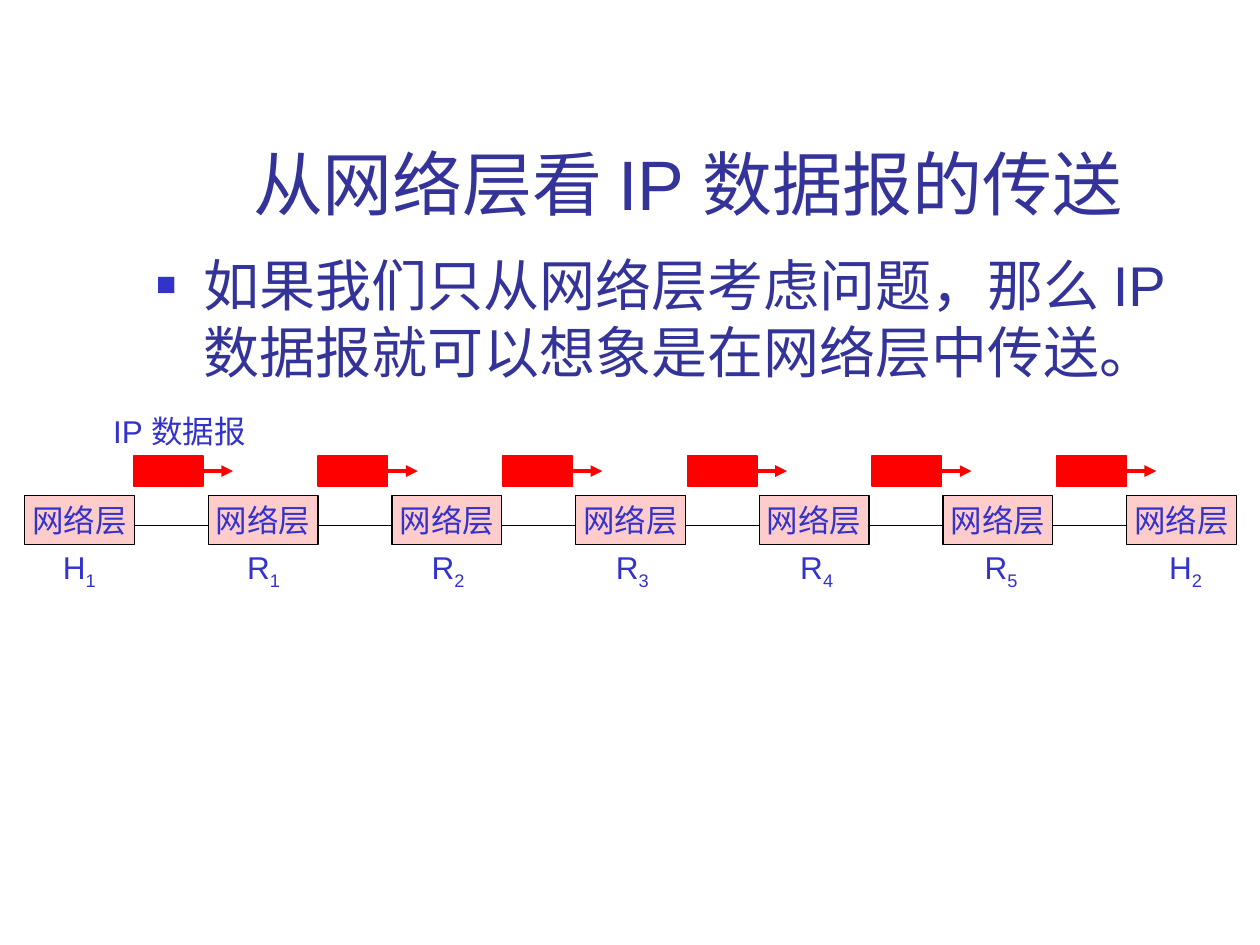
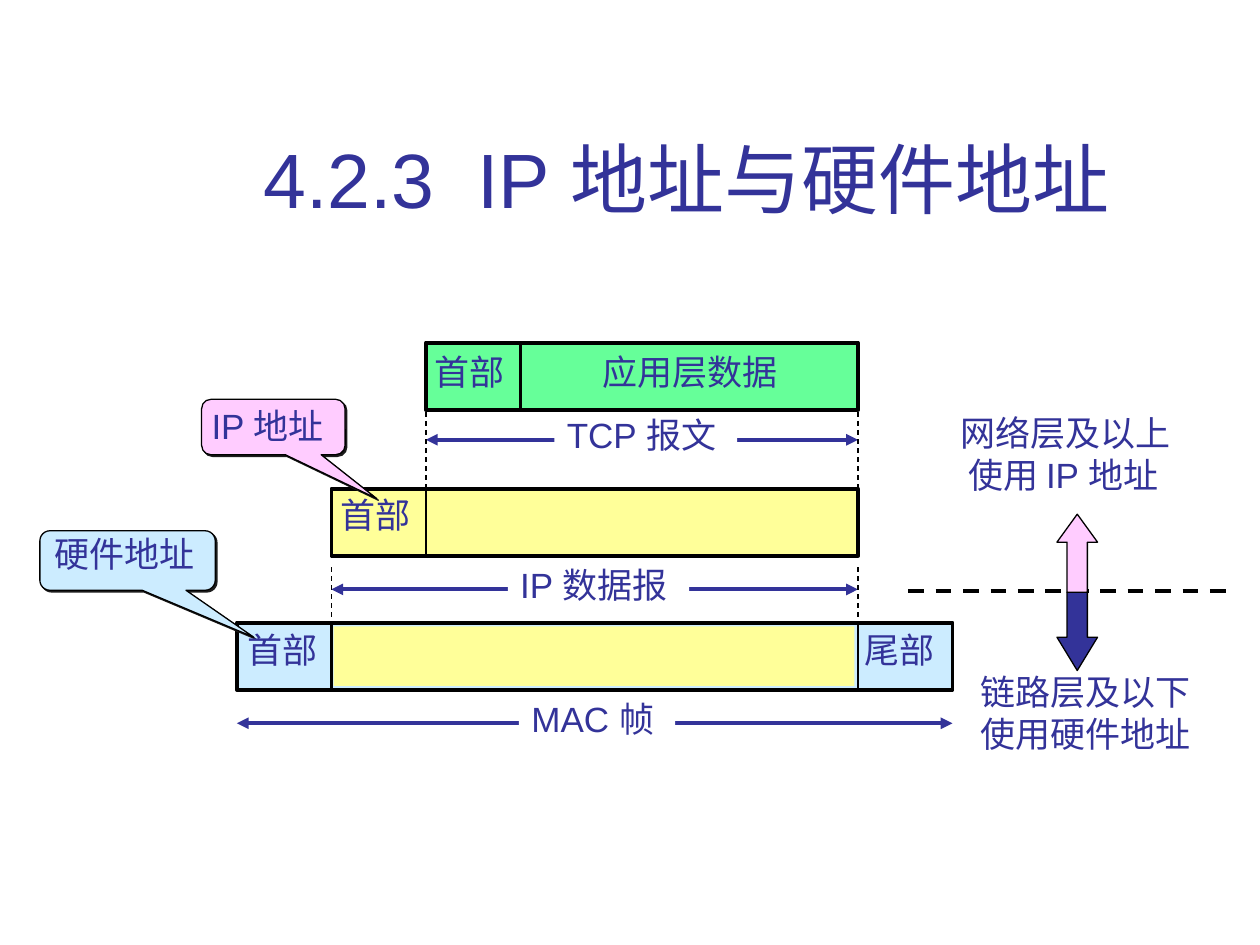
"""Build two slides on IP datagram delivery and on IP versus hardware addresses."""
import lxml.etree
import pptx
import pptx.dml.color
import pptx.enum.dml
import pptx.enum.shapes
import pptx.enum.text
import pptx.oxml.ns
import pptx.util

Pt = pptx.util.Pt
RGBColor = pptx.dml.color.RGBColor
SHAPE = pptx.enum.shapes.MSO_SHAPE
ALIGN = pptx.enum.text.PP_ALIGN
ANCHOR = pptx.enum.text.MSO_ANCHOR
qn = pptx.oxml.ns.qn

FONT = "Arial"
NAVY = RGBColor(0x33, 0x33, 0x99)
BLUE = RGBColor(0x33, 0x33, 0xCC)
BLACK = RGBColor(0, 0, 0)
WHITE = RGBColor(0xFF, 0xFF, 0xFF)
RED = RGBColor(0xFF, 0, 0)
ROSE = RGBColor(0xFF, 0xCC, 0xCC)
PINK = RGBColor(0xFF, 0xCC, 0xFF)
GREEN = RGBColor(0x66, 0xFF, 0x99)
YELLOW = RGBColor(0xFF, 0xFF, 0x99)
SKY = RGBColor(0xCC, 0xEC, 0xFF)
SHADOW = RGBColor(0x1C, 0x1C, 0x1C)
THIN, MEDIUM, THICK = 0.74, 1.5, 2.24


def write(shape, text, size=20, color=NAVY, align=ALIGN.LEFT, anchor=ANCHOR.TOP, wrap=False, subscript=""):
    frame = shape.text_frame
    frame.auto_size = pptx.enum.text.MSO_AUTO_SIZE.NONE
    frame.word_wrap = wrap
    frame.vertical_anchor = anchor
    for number, line in enumerate(text.split("\n")):
        para = frame.add_paragraph() if number else frame.paragraphs[0]
        para.alignment = align
        for part in filter(None, (line, subscript)):
            span = para.add_run()
            span.text = part
            span.font.name = FONT
            span.font.size = Pt(size)
            span.font.color.rgb = color
        if subscript:
            span._r.get_or_add_rPr().set("baseline", "-25000")


def connect(page, start, end, color=BLACK, width=THIN, dashed=False, arrowheads=()):
    line = page.shapes.add_connector(
        pptx.enum.shapes.MSO_CONNECTOR.STRAIGHT, *map(Pt, start), *map(Pt, end))
    line.line.color.rgb = color
    line.line.width = Pt(width)
    if dashed:
        line.line.dash_style = pptx.enum.dml.MSO_LINE.DASH
    for arrowhead in arrowheads:
        lxml.etree.SubElement(line.line._get_or_add_ln(), qn("a:" + arrowhead), type="triangle")
    lxml.etree.SubElement(line._element.spPr, qn("a:effectLst"))


deck = pptx.Presentation()
deck.slide_width = Pt(720)
deck.slide_height = Pt(540)
pages = []
for heading, size in (("从网络层看 IP 数据报的传送 ", 40), ("4.2.3  IP 地址与硬件地址 ", 44)):
    page = deck.slides.add_slide(deck.slide_layouts[5])
    title = page.shapes.title
    title.left, title.top, title.width, title.height = map(Pt, (90.7, 16.6, 613.4, 115.2))
    write(title, heading, size=size, align=ALIGN.CENTER, anchor=ANCHOR.BOTTOM, wrap=True)
    pages.append(page)
delivery, addresses = pages

body = delivery.shapes.add_textbox(Pt(82.1), Pt(139.7), Pt(612), Pt(102.2))
write(body, "如果我们只从网络层考虑问题，那么 IP 数据报就可以想象是在网络层中传送。", size=32, wrap=True)
para = body.text_frame.paragraphs[0]
para.space_before = Pt(8)
properties = para._p.get_or_add_pPr()
properties.set("marL", str(Pt(27)))
properties.set("indent", str(Pt(-27)))
bullet_color = lxml.etree.SubElement(properties, qn("a:buClr"))
lxml.etree.SubElement(bullet_color, qn("a:srgbClr"), val=str(BLUE))
lxml.etree.SubElement(properties, qn("a:buSzPct"), val="60000")
lxml.etree.SubElement(properties, qn("a:buFont"), typeface=FONT)
lxml.etree.SubElement(properties, qn("a:buChar"), char="■")

connect(delivery, (60, 300.2), (666, 300.2))
for number, (letter, index) in enumerate(("H1", "R1", "R2", "R3", "R4", "R5", "H2")):
    node = delivery.shapes.add_shape(
        SHAPE.RECTANGLE, Pt(14.2 + 104.95 * number), Pt(283), Pt(62.6), Pt(28.2))
    node.shadow.inherit = False
    node.fill.solid()
    node.fill.fore_color.rgb = ROSE
    node.line.color.rgb = BLACK
    node.line.width = Pt(THIN)
    write(node, "网络层", size=18, color=BLUE, align=ALIGN.CENTER, anchor=ANCHOR.MIDDLE)
    name = delivery.shapes.add_textbox(Pt(28.8 + 105.36 * number), Pt(309.6), Pt(33.1), Pt(31.7))
    write(name, letter, size=18, color=BLUE, subscript=index)

caption = delivery.shapes.add_textbox(Pt(57.6), Pt(231.8), Pt(94.3), Pt(28.8))
write(caption, "IP 数据报", size=18, color=BLUE)
for number in range(6):
    left = 76.3 + 105.5 * number
    packet = delivery.shapes.add_shape(SHAPE.RECTANGLE, Pt(left), Pt(260.6), Pt(39.8), Pt(17.2))
    packet.shadow.inherit = False
    packet.fill.solid()
    packet.fill.fore_color.rgb = RED
    packet.line.color.rgb = RED
    packet.line.width = Pt(THIN)
    connect(delivery, (left + 34.4, 269.2), (left + 56.9, 269.2), RED, THICK, arrowheads=["tailEnd"])

MAC_LEFT, IP_LEFT, TCP_LEFT, DATA_RIGHT, MAC_RIGHT = 135.4, 189.4, 243.4, 490.3, 544.3
TCP_TOP, IP_TOP, MAC_TOP, BAR_HEIGHT = 195.8, 279.2, 355.8, 38.4

for left, right, middle, label, label_left, label_width in (
        (MAC_LEFT, MAC_RIGHT, 413.3, "MAC 帧", 296.6, 89.3),
        (IP_LEFT, DATA_RIGHT, 336.8, "IP 数据报", 290.2, 103.7),
        (TCP_LEFT, DATA_RIGHT, 251.3, "TCP 报文", 316.8, 104.4)):
    connect(addresses, (left, middle), (right, middle), NAVY, THICK, arrowheads=["headEnd", "tailEnd"])
    plate = addresses.shapes.add_textbox(Pt(label_left), Pt(middle - 18.3), Pt(label_width), Pt(31.7))
    plate.fill.solid()
    plate.fill.fore_color.rgb = WHITE
    write(plate, label)

for left, top, bottom in ((TCP_LEFT, 235.4, IP_TOP), (IP_LEFT, 324, MAC_TOP)):
    for edge in (left, DATA_RIGHT):
        connect(addresses, (edge, top), (edge, bottom), dashed=True)
connect(addresses, (519, 337.7), (700.6, 337.7), width=THICK, dashed=True)

for kind, left, top, width, height, fill, outline, adjustments in (
        (SHAPE.RECTANGLE, TCP_LEFT, TCP_TOP, DATA_RIGHT - TCP_LEFT, BAR_HEIGHT, GREEN, THICK, ()),
        (SHAPE.RECTANGLE, IP_LEFT, IP_TOP, DATA_RIGHT - IP_LEFT, BAR_HEIGHT, YELLOW, THICK, ()),
        (SHAPE.RECTANGLE, MAC_LEFT, MAC_TOP, MAC_RIGHT - MAC_LEFT, BAR_HEIGHT, SKY, THICK, ()),
        (SHAPE.RECTANGLE, IP_LEFT + 1.2, 358, 297.6, 34, YELLOW, 0, ()),
        (SHAPE.DOWN_ARROW, 604, 338.4, 23.2, 44.8, NAVY, THIN, (0.5, 0.82)),
        (SHAPE.UP_ARROW, 604, 293.8, 23.2, 44.6, PINK, THIN, (0.5, 0.69)),
        (SHAPE.ROUNDED_RECTANGULAR_CALLOUT, 22.8, 303.3, 100.2, 34, SKY, THIN, (0.72, 1.29, 0.17)),
        (SHAPE.ROUNDED_RECTANGULAR_CALLOUT, 115.2, 228.2, 82, 31.7, PINK, THIN, (0.72, 1.29, 0.17))):
    block = addresses.shapes.add_shape(kind, Pt(left), Pt(top), Pt(width), Pt(height))
    block.shadow.inherit = False
    block.fill.solid()
    block.fill.fore_color.rgb = fill
    if outline:
        block.line.color.rgb = BLACK
        block.line.width = Pt(outline)
    else:
        block.line.fill.background()
    for number, value in enumerate(adjustments):
        block.adjustments[number] = value
    if kind == SHAPE.ROUNDED_RECTANGULAR_CALLOUT:
        effects = block._element.spPr.find(qn("a:effectLst"))
        shadow = lxml.etree.SubElement(
            effects, qn("a:outerShdw"), dist=str(Pt(1.4)), dir="2700000", algn="ctr", rotWithShape="0")
        lxml.etree.SubElement(shadow, qn("a:srgbClr"), val=str(SHADOW))

for edge, top in ((TCP_LEFT + 54, TCP_TOP), (TCP_LEFT, IP_TOP), (IP_LEFT, MAC_TOP), (DATA_RIGHT, MAC_TOP)):
    connect(addresses, (edge, top), (edge, top + BAR_HEIGHT), width=MEDIUM)

for text, left, top, width, height in (
        ("应用层数据", 337, 196.6, 114.5, 31.7),
        ("首部", 241.2, 196.6, 54, 31.7),
        ("首部", 187.2, 278.6, 54, 31.7),
        ("首部", 134.6, 355.7, 54, 31.7),
        ("尾部", 486.7, 355.7, 54, 31.7),
        ("链路层及以下\n使用硬件地址", 553, 379.4, 134.6, 55.4),
        ("网络层及以上\n 使用 IP 地址", 541.6, 231.8, 137.5, 55.4),
        ("硬件地址", 23.8, 301, 94.3, 31.7),
        ("IP 地址", 113.8, 227.5, 83.5, 31.7)):
    box = addresses.shapes.add_textbox(Pt(left), Pt(top), Pt(width), Pt(height))
    write(box, text)

deck.save("out.pptx")
